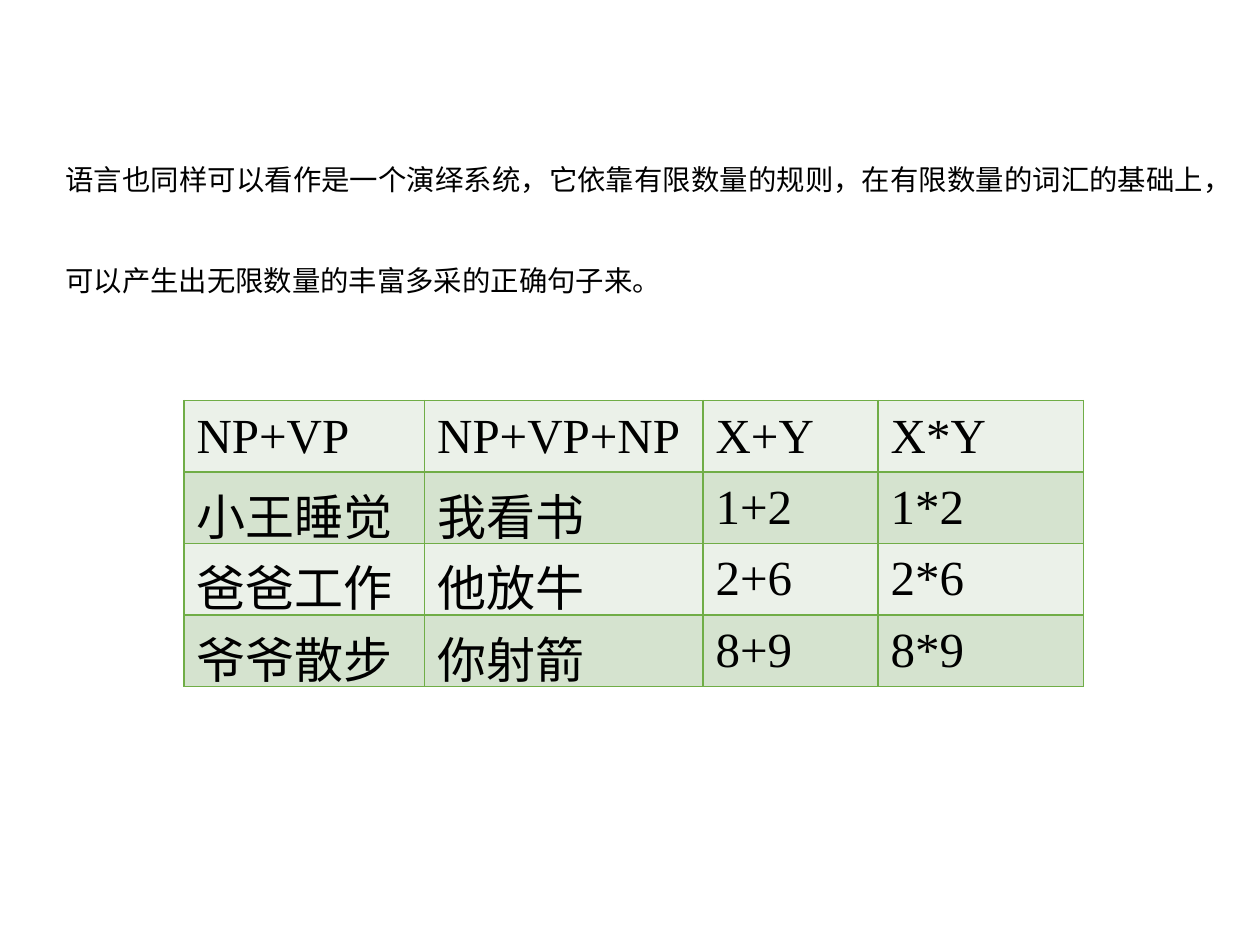
"""Build a slide comparing language rules with arithmetic rules."""
from dataclasses import dataclass

from lxml import etree
from pptx import Presentation
from pptx.dml.color import RGBColor
from pptx.enum.text import MSO_ANCHOR, PP_ALIGN
from pptx.oxml.ns import qn
from pptx.util import Inches, Pt

MIDDLE = MSO_ANCHOR.MIDDLE
JUSTIFY = PP_ALIGN.JUSTIFY

STATEMENT = (
    "语言也同样可以看作是一个演绎系统，它依靠有限数量的规则，在有限数量的词汇的基础上，"
    "可以产生出无限数量的丰富多采的正确句子来。"
)
RULE_ROWS = [
    ("NP+VP", "NP+VP+NP", "X+Y", "X*Y"),
    ("小王睡觉", "我看书", "1+2", "1*2"),
    ("爸爸工作", "他放牛", "2+6", "2*6"),
    ("爷爷散步", "你射箭", "8+9", "8*9"),
]
COLUMN_WIDTHS = (1.91, 2.21, 1.39, 1.63)
SLIDE_SIZE = (10, 7.5)
STATEMENT_BOX = (0.42, 0.71, 9.23, 2.11)
TABLE_BOX = (1.46, 3.18, sum(COLUMN_WIDTHS), 2.27)


@dataclass(frozen=True)
class Theme:
    """Colours, fonts and type sizes."""
    text: str = "000000"
    border: str = "70AD47"
    bands: tuple = ("EBF1E9", "D5E3CF")
    statement_font: str = "Noto Sans CJK SC"
    table_font: str = "Times New Roman"
    statement_size: float = 16.2
    table_size: int = 28
    border_width: int = 1
    line_spacing: float = 2.96


THEME = Theme()


def add_run(paragraph, text, font_name, size):
    """Add one styled run to a paragraph."""
    run = paragraph.add_run()
    run.text = text
    run.font.name = font_name
    run.font.size = Pt(size)
    run.font.color.rgb = RGBColor.from_string(THEME.text)
    return run


def set_borders(cell):
    """Draw the same solid line on all four sides of a cell."""
    properties = cell._tc.get_or_add_tcPr()
    for position, side in enumerate(("a:lnL", "a:lnR", "a:lnT", "a:lnB")):
        line = etree.Element(qn(side), w=str(Pt(THEME.border_width)))
        fill = etree.SubElement(line, qn("a:solidFill"))
        etree.SubElement(fill, qn("a:srgbClr"), val=THEME.border)
        properties.insert(position, line)


def add_statement(slide):
    """Add the justified statement."""
    frame = slide.shapes.add_textbox(*map(Inches, STATEMENT_BOX)).text_frame
    frame.word_wrap = True
    paragraph = frame.paragraphs[0]
    paragraph.alignment = JUSTIFY
    paragraph.line_spacing = THEME.line_spacing
    run = add_run(paragraph, STATEMENT, THEME.statement_font, THEME.statement_size)
    etree.SubElement(run.font._element, qn("a:ea"), typeface=THEME.statement_font)


def add_rule_table(slide):
    """Add the banded table of rules and examples."""
    table = slide.shapes.add_table(
        len(RULE_ROWS), len(COLUMN_WIDTHS), *map(Inches, TABLE_BOX)
    ).table
    for column, width in zip(table.columns, COLUMN_WIDTHS):
        column.width = Inches(width)
    for row_index, texts in enumerate(RULE_ROWS):
        band = THEME.bands[row_index % len(THEME.bands)]
        for column_index, text in enumerate(texts):
            cell = table.cell(row_index, column_index)
            cell.vertical_anchor = MIDDLE
            cell.fill.solid()
            cell.fill.fore_color.rgb = RGBColor.from_string(band)
            set_borders(cell)
            add_run(cell.text_frame.paragraphs[0], text, THEME.table_font, THEME.table_size)


def main():
    """Build and save the presentation."""
    presentation = Presentation()
    presentation.slide_width, presentation.slide_height = map(Inches, SLIDE_SIZE)
    slide = presentation.slides.add_slide(presentation.slide_layouts[6])
    add_statement(slide)
    add_rule_table(slide)
    presentation.save("out.pptx")


if __name__ == "__main__":
    main()
